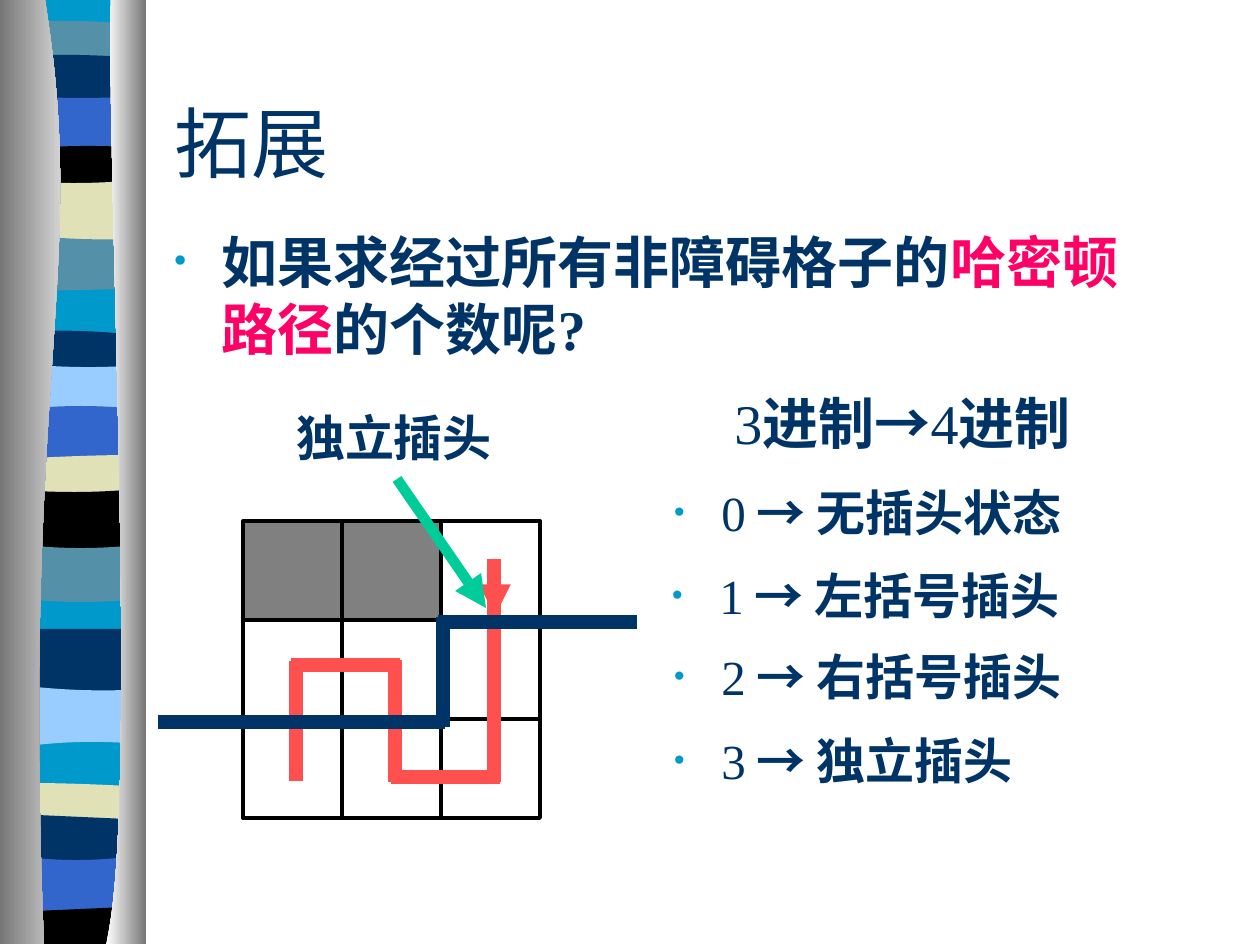
from lxml.etree import SubElement
from pptx import Presentation
from pptx.dml.color import RGBColor
from pptx.enum.shapes import MSO_CONNECTOR, MSO_SHAPE
from pptx.enum.text import MSO_ANCHOR, PP_ALIGN
from pptx.oxml.ns import qn
from pptx.util import Pt

PX = 914400 / 126  # EMU per px


class Theme:
    navy, pink, red, green = "003366", "FF0066", "FF5050", "00CC99"
    sky, teal, blue, pale, sand = "0099CC", "5490A8", "3366CC", "99CCFF", "E1E1B7"
    black, gray, white, steel = "000000", "808080", "FFFFFF", "767676"
    serif, sans = "Times New Roman", "Noto Sans CJK SC"
    title, large, medium = 44, 32, 28


# Content: text runs are (text, colour, font, bold)
TITLE = [("拓展", Theme.navy, Theme.serif, False)]
QUESTION = [
    ("如果求经过所有非障碍格子的", Theme.navy, Theme.serif, True),
    ("哈密顿路径", Theme.pink, Theme.serif, True),
    ("的个数呢?", Theme.navy, Theme.serif, True),
]
PLUG_LABEL = [("独立插头", Theme.navy, Theme.serif, True)]
BASE_CHANGE = [
    ("3", Theme.navy, Theme.serif, False),
    ("进制→", Theme.navy, Theme.sans, True),
    ("4", Theme.navy, Theme.serif, False),
    ("进制", Theme.navy, Theme.sans, True),
]
# State name, left, top
STATES = [("无插头状态", 661, 476), ("左括号插头", 659, 559),
          ("右括号插头", 661, 640), ("独立插头", 661, 724)]

# Ribbon bands: colour, then height of the top edge at left, middle and right
BANDS = [
    (Theme.sky, 0, 0, 0), (Theme.teal, 22, 21, 24), (Theme.navy, 55, 55, 57),
    (Theme.blue, 97, 98, 97), (Theme.black, 148, 146, 147),
    (Theme.sand, 182, 183, 181), (Theme.teal, 236, 239, 239),
    (Theme.sky, 291, 290, 289), (Theme.navy, 331, 331, 334),
    (Theme.pale, 365, 367, 366), (Theme.blue, 408, 406, 408),
    (Theme.sand, 458, 456, 455), (Theme.black, 491, 492, 490),
    (Theme.teal, 546, 548, 546), (Theme.sky, 600, 602, 600),
    (Theme.navy, 629, 629, 629), (Theme.pale, 687, 690, 690),
    (Theme.sky, 745, 742, 743), (Theme.sand, 783, 784, 786),
    (Theme.navy, 815, 817, 819), (Theme.blue, 858, 860, 857),
    (Theme.black, 911, 909, 907),
]
RIBBON_LEFT, RIBBON_RIGHT, RIBBON_BOTTOM = 36, 126, 944
# Cylinders: outer x, cubic control points of the inner edge, gradient
CYLINDERS = [
    (0, [(45, 0), (89, 272), (21, 373), (44, 944)], (Theme.steel, Theme.white)),
    (146, [(111, 0), (106, 158), (140, 814), (106, 944)], (Theme.white, Theme.steel)),
]

GRID_LEFT, GRID_TOP, CELL = 243, 521, 99
OBSTACLES = {(0, 0), (0, 1)}
# Lines: start, end, colour, width in points, arrow
LINES = [
    ((494, 559), (494, 782), Theme.red, 7.5, False),
    ((500, 777), (391, 777), Theme.red, 7.5, False),
    ((395, 660), (395, 782), Theme.red, 7.5, False),
    ((400, 665), (291, 665), Theme.red, 7.5, False),
    ((296, 661), (296, 781), Theme.red, 7.5, False),
    ((495, 566), (495, 616), Theme.red, 6, True),
    ((158, 722), (445, 722), Theme.navy, 7.5, False),
    ((443, 617), (443, 727), Theme.navy, 7.5, False),
    ((438, 622), (637, 622), Theme.navy, 7.5, False),
    ((397, 479), (486, 608), Theme.green, 6, True),
]


def emu(*lengths):
    return [round(length * PX) for length in lengths]


def rgb(colour):
    return RGBColor.from_string(colour)


def add_outline(slide, *edges):
    """Join edges in turn; an edge of three or four points is a Bezier curve."""
    points = [point for edge in edges for point in edge]
    builder = slide.shapes.build_freeform(*emu(*points[0]), scale=1.0)
    builder.add_line_segments([emu(*point) for point in points[1:]], close=True)
    shape = builder.convert_to_shape()
    path = next(shape._element.iter(qn("a:path")))
    nodes, first = list(path), 0
    for edge in edges:
        tag = {3: "a:quadBezTo", 4: "a:cubicBezTo"}.get(len(edge))
        if tag:
            curve = path.makeelement(qn(tag))
            path.insert(path.index(nodes[first + 1]), curve)
            for node in nodes[first + 1:first + len(edge)]:
                curve.append(node[0])
                path.remove(node)
        first += len(edge)
    shape.shadow.inherit = False
    shape.line.fill.background()
    return shape


def band_edge(left, middle, right):
    centre = (RIBBON_LEFT + RIBBON_RIGHT) / 2
    control = 2 * middle - (left + right) / 2
    return [(RIBBON_LEFT, left), (centre, control), (RIBBON_RIGHT, right)]


def add_ribbon(slide):
    # One sky column lies behind the other bands
    bottom = (Theme.sky, *[RIBBON_BOTTOM] * 3)
    column = (BANDS[0], bottom)
    pairs = [pair for pair in zip(BANDS, BANDS[1:] + [bottom]) if pair[0][0] != Theme.sky]
    for (colour, *top), (next_colour, *base) in [column] + pairs:
        overlap = 0 if next_colour == Theme.sky else 2
        base = [height + overlap for height in base]
        shape = add_outline(slide, band_edge(*top), band_edge(*base)[::-1])
        shape.fill.solid()
        shape.fill.fore_color.rgb = rgb(colour)
    for outer, edge, colours in CYLINDERS:
        shape = add_outline(slide, edge, [(outer, RIBBON_BOTTOM), (outer, 0)])
        shape.fill.gradient()
        shape.fill.gradient_angle = 0
        for stop, colour, position in zip(shape.fill.gradient_stops, colours, (0, 1)):
            stop.color.rgb = rgb(colour)
            stop.position = position


def add_grid(slide):
    for row in range(3):
        for column in range(3):
            cell = slide.shapes.add_shape(MSO_SHAPE.RECTANGLE, *emu(
                GRID_LEFT + column * CELL, GRID_TOP + row * CELL, CELL, CELL))
            cell.shadow.inherit = False
            cell.line.color.rgb = rgb(Theme.black)
            cell.line.width = Pt(2.25)
            if (row, column) in OBSTACLES:
                cell.fill.solid()
                cell.fill.fore_color.rgb = rgb(Theme.gray)
            else:
                cell.fill.background()


def add_line(slide, start, end, colour, width, arrow):
    connector = slide.shapes.add_connector(MSO_CONNECTOR.STRAIGHT, *emu(*start, *end))
    connector.line.color.rgb = rgb(colour)
    connector.line.width = Pt(width)
    properties = connector._element.spPr
    if arrow:
        SubElement(properties.find(qn("a:ln")), qn("a:tailEnd"), type="triangle")
    SubElement(properties, qn("a:effectLst"))


def write(shape, runs, size, align=PP_ALIGN.LEFT, before=0, bullet=False):
    frame = shape.text_frame
    frame.word_wrap = True
    paragraph = frame.paragraphs[0]
    paragraph.alignment = align
    paragraph.space_before = Pt(before)
    for text, colour, font, bold in runs:
        run = paragraph.add_run()
        run.text = text
        run.font.size, run.font.bold, run.font.name = Pt(size), bold, font
        run.font.color.rgb = rgb(colour)
        SubElement(run._r.rPr, qn("a:ea"), typeface=Theme.sans)
    if bullet:
        properties = paragraph._p.get_or_add_pPr()
        indent = emu(48)[0]
        properties.set("marL", str(indent))
        properties.set("indent", str(-indent))
        SubElement(SubElement(properties, qn("a:buClr")), qn("a:srgbClr"), val=Theme.sky)
        SubElement(properties, qn("a:buSzPct"), val="70000")
        SubElement(properties, qn("a:buFont"), typeface=Theme.serif)
        SubElement(properties, qn("a:buChar"), char="•")


def add_text(slide, box, *content, **style):
    write(slide.shapes.add_textbox(*emu(*box)), *content, **style)


def main():
    presentation = Presentation()
    presentation.slide_width, presentation.slide_height = emu(1260, 945)
    slide = presentation.slides.add_slide(presentation.slide_layouts[5])
    add_ribbon(slide)

    # Title and question
    title = slide.shapes.title
    title.left, title.top, title.width, title.height = emu(162, 63, 1071, 158)
    title.text_frame.vertical_anchor = MSO_ANCHOR.MIDDLE
    write(title, TITLE, Theme.title)
    add_text(slide, (161, 221, 983, 168), QUESTION, Theme.large, before=8, bullet=True)

    # Grid with paths and contour line
    add_grid(slide)
    for line in LINES:
        add_line(slide, *line)

    # Labels and plug states
    add_text(slide, (273, 401, 242, 72), PLUG_LABEL, Theme.medium,
             align=PP_ALIGN.CENTER, before=17.5)
    for number, (name, left, top) in enumerate(STATES):
        runs = [(str(number), Theme.navy, Theme.serif, False),
                (f" → {name}", Theme.navy, Theme.sans, True)]
        add_text(slide, (left, top, 494, 95), runs, Theme.medium, before=7, bullet=True)
    add_text(slide, (661, 382, 483, 81), BASE_CHANGE, Theme.large,
             align=PP_ALIGN.CENTER, before=20)

    presentation.save("out.pptx")


if __name__ == "__main__":
    main()
